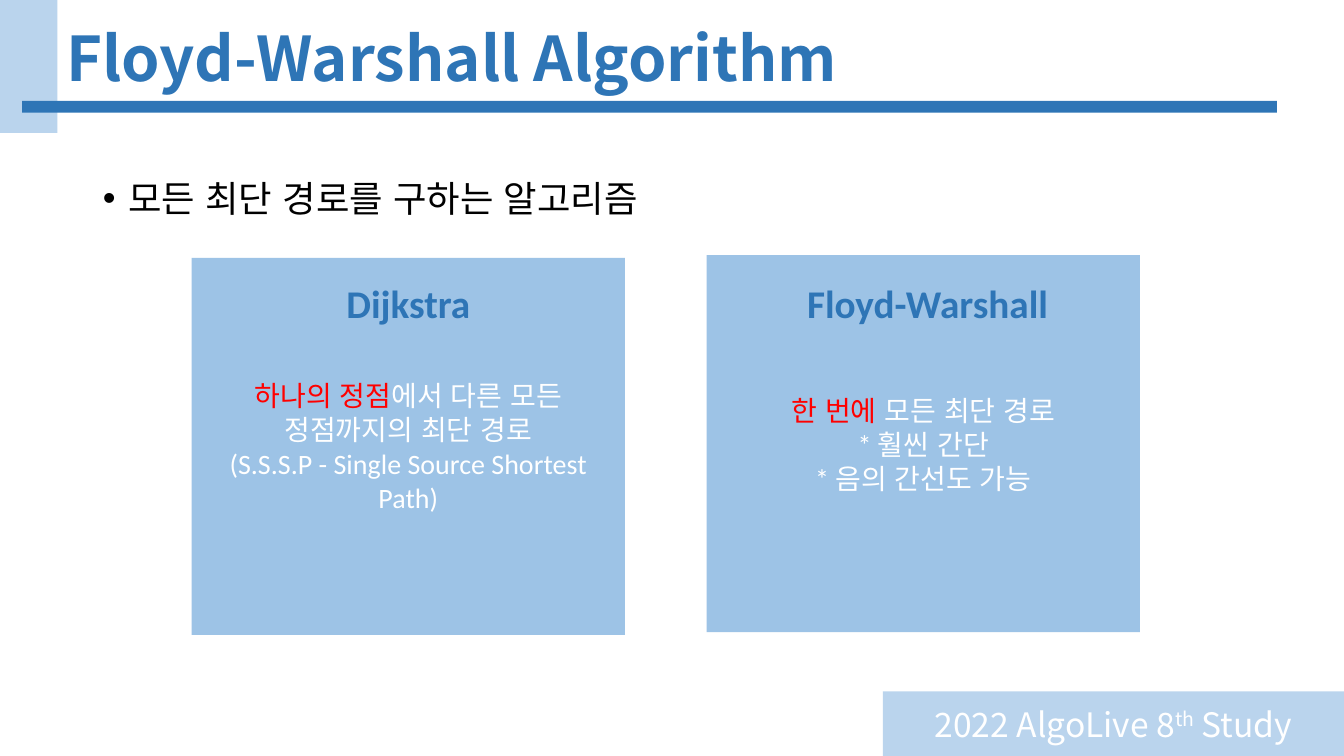
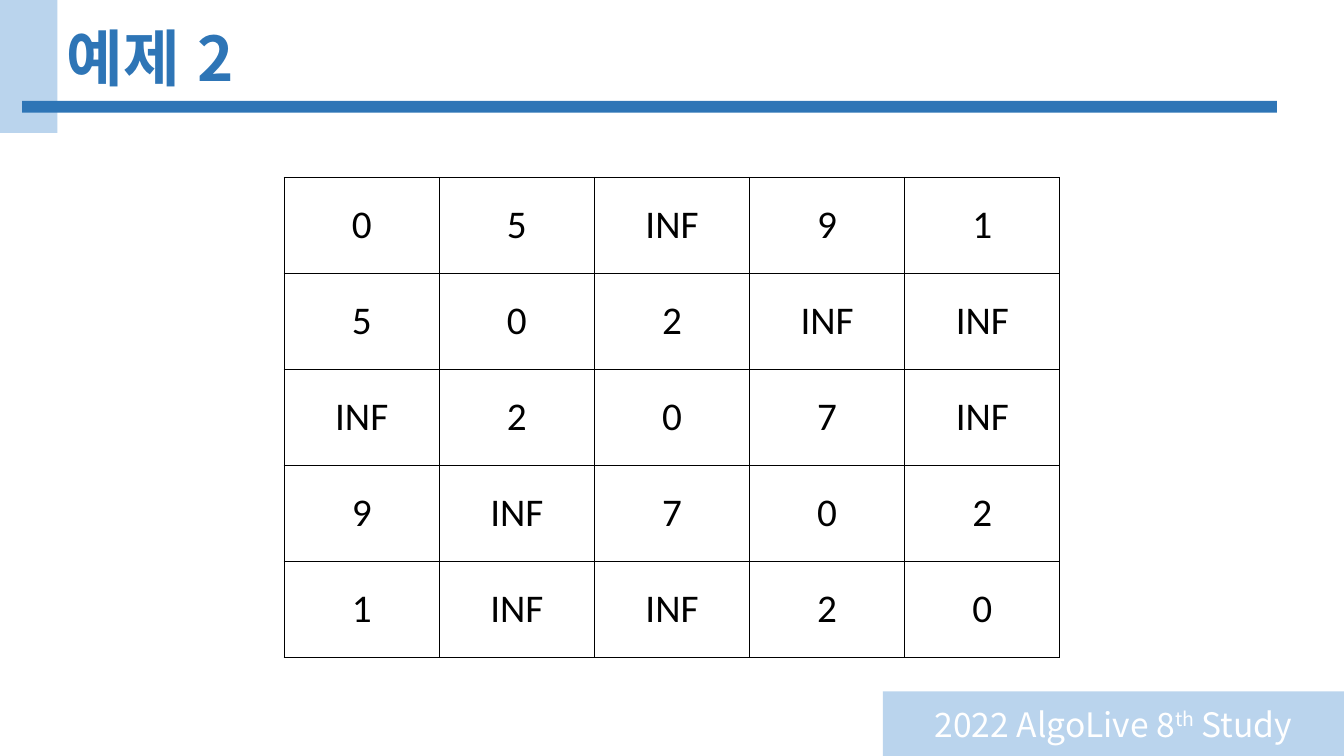
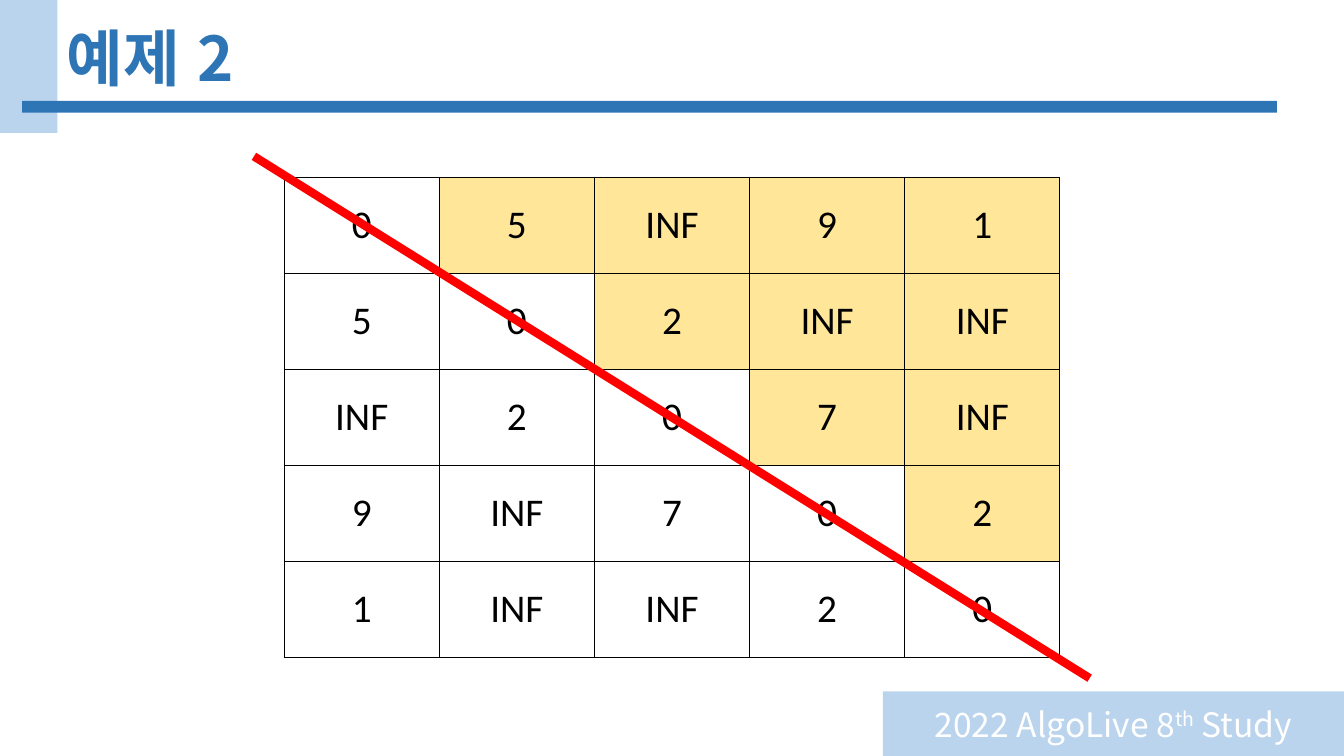
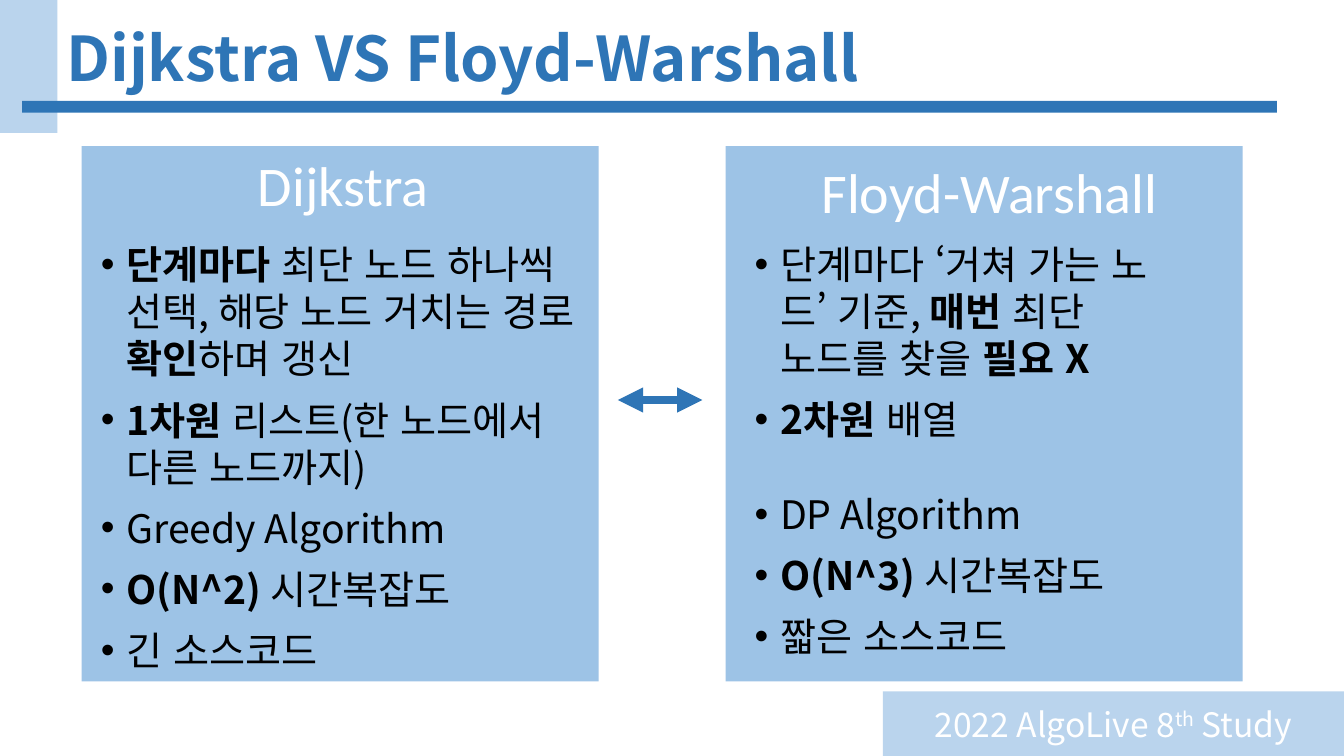
from lxml import etree
from pptx import Presentation
from pptx.dml.color import RGBColor
from pptx.enum import lang, shapes, text
from pptx.oxml.ns import qn
from pptx.util import Cm, Pt

COLORS = {"blue": "2E75B6", "light": "9DC3E6", "red": "FF0000",
          "yellow": "FFE699", "white": "FFFFFF", "black": "000000"}
NOTO, CALIBRI = "Noto Sans CJK KR", "Calibri"
TITLE_ONLY, TITLE_AND_BODY = 5, 1

# A paragraph is a list of (words, changes to the base style).
BOLD, RED = {"bold": True}, {"color": "red"}
TITLE = {"font": NOTO, "size": 44, "color": "blue", "bold": True}
FOOTER = {"font": NOTO, "size": 24, "color": "white"}
LIST = {"font": NOTO, "size": 28, "color": "black"}
INTRO = {"font": NOTO, "size": 26, "color": "black"}
CARD = {"font": CALIBRI, "size": 20, "color": "white"}
CARD_HEAD = {"font": CALIBRI, "size": 28, "color": "blue", "bold": True}
PANEL_HEAD = {"font": CALIBRI, "size": 40, "color": "white"}
CELL = {"font": CALIBRI, "size": 28, "color": "black"}

FOOTER_TEXT = [("2022 AlgoLive 8", {}), ("th", {"raised": True}), (" Study", {})]
INTRO_TEXT = [("모든 최단 경로를 구하는 알고리즘", {})]
CARDS = [
    {"at": (4.83, 6.5), "head": "Dijkstra", "head_at": (8.48, 6.91, 3.68, 1.45),
     "lines": [[("하나의 정점", RED), ("에서 다른 모든 정점까지의 최단 경로", {})],
               [("(S.S.S.P - Single Source Shortest Path)", {})]]},
    {"at": (17.81, 6.43), "head": "Floyd-Warshall", "head_at": (20.09, 6.91, 6.68, 1.45),
     "lines": [[("한 번에", RED), (" 모든 최단 경로", {})],
               [("* 훨씬 간단", {})],
               [("* 음의 간선도 가능", {})]]},
]
DISTANCES = [
    ["0", "5", "INF", "9", "1"],
    ["5", "0", "2", "INF", "INF"],
    ["INF", "2", "0", "7", "INF"],
    ["9", "INF", "7", "0", "2"],
    ["1", "INF", "INF", "2", "0"],
]
DIJKSTRA = [
    [("단계마다", BOLD), (" 최단 노드 하나씩 선택, 해당 노드 거치는 경로 ", {}),
     ("확인", BOLD), ("하며 갱신", {})],
    [("1차원", BOLD), (" 리스트(한 노드에서 다른 노드까지)", {})],
    [("Greedy Algorithm", {})],
    [("O(N^2) ", BOLD), ("시간복잡도", {})],
    [("긴 소스코드", {})],
]
FLOYD = [
    [("단계마다 ‘거쳐 가는 노드’ 기준, ", {}), ("매번", BOLD),
     (" 최단 노드를 찾을 ", {}), ("필요 X", BOLD)],
    [("2차원 ", BOLD), ("배열", {})],
    [("DP Algorithm", {})],
    [("O(N^3) ", BOLD), ("시간복잡도", {})],
    [("짧은 소스코드", {})],
]
PANELS = [
    {"left": 2.06, "head": "Dijkstra", "head_at": (6.25, 3.66, 5.44, 1.96)},
    {"left": 18.29, "head": "Floyd-Warshall", "head_at": (20.45, 3.84, 11.35, 1.96)},
]


def rgb(name):
    return RGBColor.from_string(COLORS[name])


def place(shape, left, top, width, height):
    shape.left, shape.top = Cm(left), Cm(top)
    shape.width, shape.height = Cm(width), Cm(height)


def add_spans(para, spans, base):
    for words, changes in spans:
        style = {**base, **changes}
        span = para.add_run()
        span.text = words
        font = span.font
        font.name, font.size = style["font"], Pt(style["size"])
        font.bold = style.get("bold", False)
        font.color.rgb = rgb(style["color"])
        font.language_id = lang.MSO_LANGUAGE_ID.KOREAN
        props = span._r.get_or_add_rPr()
        etree.SubElement(props, qn("a:ea"), typeface=NOTO)
        if style.get("raised"):
            props.set("baseline", "30000")


def write(frame, paragraphs, base, align=text.PP_ALIGN.LEFT, spacing=None,
          bullets=False, gaps=None):
    """Fill a frame; gaps gives unusual space before, by paragraph number."""
    frame.word_wrap = True
    frame.auto_size = text.MSO_AUTO_SIZE.NONE
    for number, spans in enumerate(paragraphs):
        para = frame.add_paragraph() if number else frame.paragraphs[0]
        para.alignment = align
        para.line_spacing = spacing
        para.space_before = Pt(0)
        if bullets:
            if number:
                para.space_before = Pt((gaps or {}).get(number, 10))
            props = para._p.get_or_add_pPr()
            props.set("marL", str(Cm(0.64)))
            props.set("indent", str(-Cm(0.64)))
            etree.SubElement(props, qn("a:buFont"), typeface="Arial")
            etree.SubElement(props, qn("a:buChar"), char="•")
        add_spans(para, spans, base)


def add_rect(page, at, color, alpha=None):
    box = page.shapes.add_shape(shapes.MSO_SHAPE.RECTANGLE, *map(Cm, at))
    box.shadow.inherit = False
    box.fill.solid()
    box.fill.fore_color.rgb = rgb(color)
    box.line.fill.background()
    if alpha:
        value = box.element.spPr.find(".//" + qn("a:srgbClr"))
        etree.SubElement(value, qn("a:alpha"), val=str(alpha * 1000))
    return box


def add_heading(page, at, words, style, wrap=True):
    box = page.shapes.add_textbox(*map(Cm, at))
    write(box.text_frame, [[(words, {})]], style)
    box.text_frame.word_wrap = wrap


def add_line(page, start, end, color, arrows=False):
    line = page.shapes.add_connector(shapes.MSO_CONNECTOR.STRAIGHT,
                                     *map(Cm, start + end))
    line.line.color.rgb = rgb(color)
    line.line.width = Pt(6)
    if arrows:
        outline = line.line._get_or_add_ln()
        for tag in ("a:headEnd", "a:tailEnd"):
            etree.SubElement(outline, qn(tag), type="triangle")
    etree.SubElement(line.element.spPr, qn("a:effectLst"))


def add_page(deck, title, layout):
    page = deck.slides.add_slide(deck.slide_layouts[layout])
    place(page.shapes.title, 1.42, -0.3, 29.21, 3.68)
    frame = page.shapes.title.text_frame
    frame.vertical_anchor = text.MSO_ANCHOR.MIDDLE
    write(frame, [[(title, {})]], TITLE, spacing=0.9)
    return page


def move_bands_to_master(deck, page):
    """Draw the shared bands on a page, then hand them to the master."""
    corner = add_rect(page, (0, 0, 1.45, 3.35), "light", 70)
    rule = add_rect(page, (0.56, 2.54, 31.62, 0.3), "blue")
    footer = add_rect(page, (22.25, 17.42, 11.62, 1.63), "light", 70)
    footer.text_frame.vertical_anchor = text.MSO_ANCHOR.MIDDLE
    write(footer.text_frame, [FOOTER_TEXT], FOOTER, text.PP_ALIGN.CENTER)
    for number, band in enumerate((corner, rule, footer)):
        band.element.nvSpPr.cNvPr.set("id", str(100 + number))
        deck.slide_master.shapes.element.insert(2 + number, band.element)


def add_borders(cell):
    props = cell._tc.get_or_add_tcPr()
    for number, side in enumerate(("a:lnL", "a:lnR", "a:lnT", "a:lnB")):
        line = etree.Element(qn(side), w=str(Pt(1)))
        fill = etree.SubElement(line, qn("a:solidFill"))
        etree.SubElement(fill, qn("a:srgbClr"), val=COLORS["black"])
        props.insert(number, line)


def add_distances(page, shade_upper=False):
    size = len(DISTANCES)
    width, height = 3.91, 2.42
    table = page.shapes.add_table(size, size, Cm(7.16), Cm(4.47),
                                  Cm(width * size), Cm(height * size)).table
    table.first_row = table.horz_banding = False
    for number in range(size):
        table.columns[number].width = Cm(width)
        table.rows[number].height = Cm(height)
    for row, values in enumerate(DISTANCES):
        for column, value in enumerate(values):
            cell = table.cell(row, column)
            cell.vertical_anchor = text.MSO_ANCHOR.MIDDLE
            para = cell.text_frame.paragraphs[0]
            para.alignment = text.PP_ALIGN.CENTER
            add_spans(para, [(value, {})], CELL)
            if shade_upper and column > row:
                cell.fill.solid()
                cell.fill.fore_color.rgb = rgb("yellow")
            else:
                cell.fill.background()
            add_borders(cell)


def build_intro(page):
    for card in CARDS:
        box = add_rect(page, card["at"] + (10.92, 9.5), "light")
        box.text_frame.vertical_anchor = text.MSO_ANCHOR.MIDDLE
        write(box.text_frame, card["lines"], CARD, text.PP_ALIGN.CENTER, Pt(24.3))
        add_heading(page, card["head_at"], card["head"], CARD_HEAD, wrap=False)
    body = page.placeholders[1]
    place(body, 2.34, 4.17, 29.21, 13.23)
    write(body.text_frame, [INTRO_TEXT], INTRO, spacing=Pt(35), bullets=True)


def build_comparison(page):
    for panel in PANELS:
        box = add_rect(page, (panel["left"], 3.68, 13.03, 13.49), "light")
        page.shapes.element.insert(2, box.element)
        add_heading(page, panel["head_at"], panel["head"], PANEL_HEAD)
    body = page.placeholders[1]
    place(body, 2.29, 5.94, 12.8, 12.09)
    write(body.text_frame, DIJKSTRA, LIST, spacing=Pt(33.6), bullets=True)
    right = page.shapes.add_textbox(Cm(18.77), Cm(5.94), Cm(11.56), Cm(12.09))
    write(right.text_frame, FLOYD, LIST, spacing=Pt(33.6), bullets=True, gaps={2: 34})
    add_line(page, (15.57, 10.08), (17.7, 10.08), "blue", arrows=True)


def main():
    deck = Presentation()
    deck.slide_width, deck.slide_height = Cm(33.87), Cm(19.05)

    intro = add_page(deck, "Floyd-Warshall Algorithm", TITLE_AND_BODY)
    move_bands_to_master(deck, intro)
    build_intro(intro)

    add_distances(add_page(deck, "예제 2", TITLE_ONLY))

    shaded = add_page(deck, "예제 2", TITLE_ONLY)
    add_distances(shaded, shade_upper=True)
    add_line(shaded, (6.4, 3.94), (27.46, 17.09), "red")

    build_comparison(add_page(deck, "Dijkstra VS Floyd-Warshall", TITLE_AND_BODY))
    deck.save("out.pptx")


if __name__ == "__main__":
    main()
